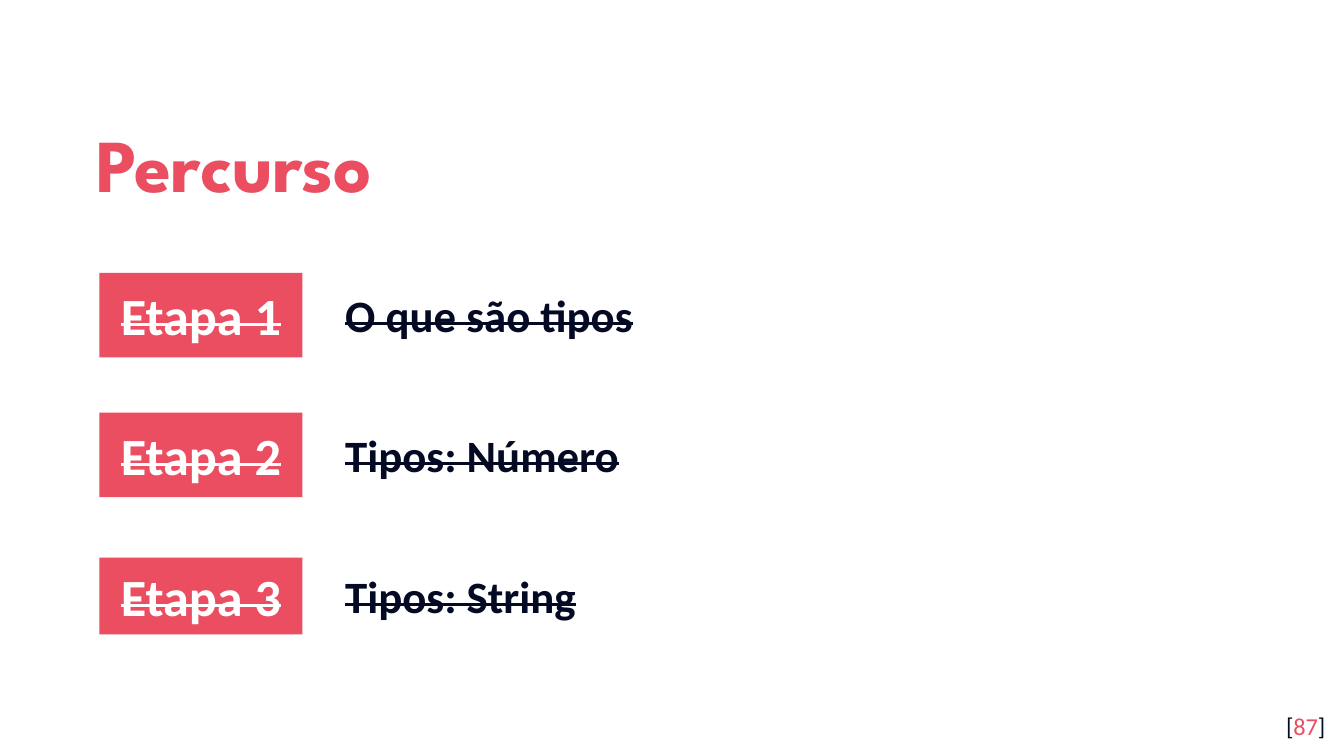
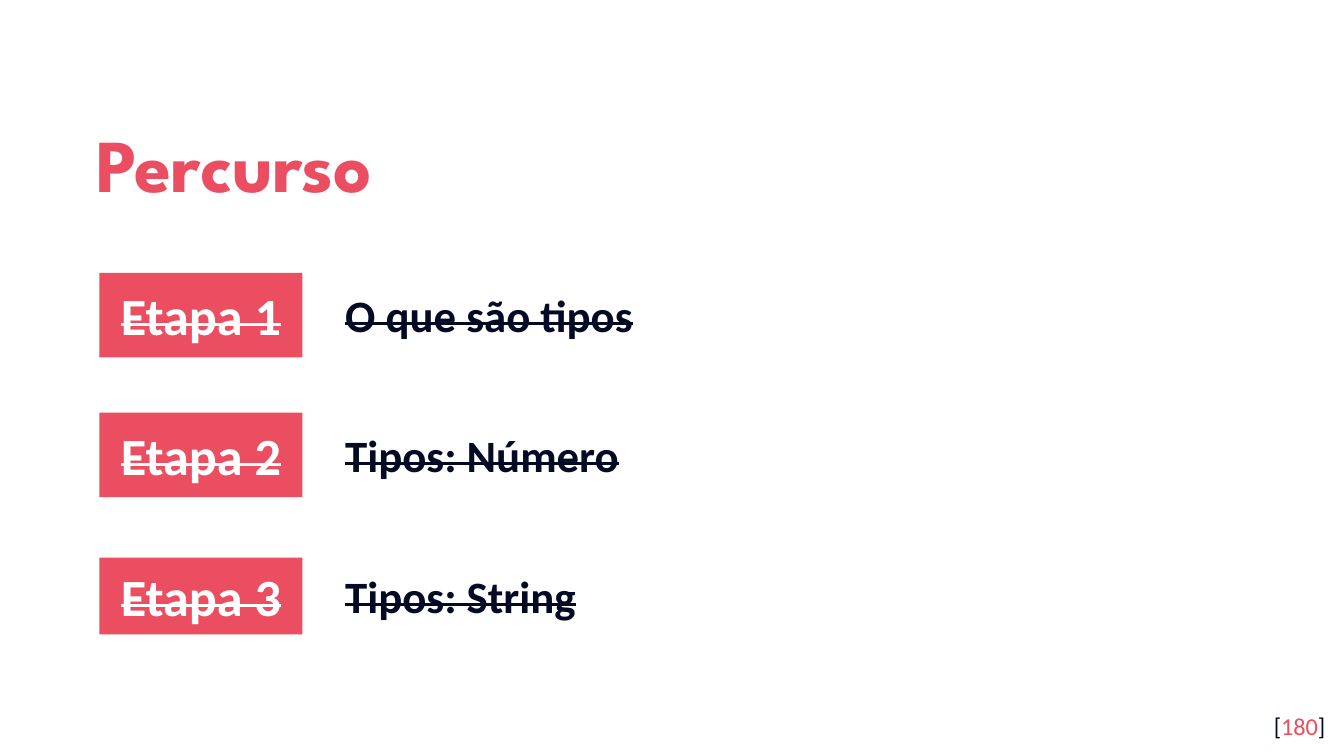
from pptx import Presentation
from pptx.dml.color import RGBColor
from pptx.enum.shapes import MSO_SHAPE
from pptx.enum.text import MSO_ANCHOR, PP_ALIGN
from pptx.util import Inches, Pt

RECTANGLE = MSO_SHAPE.RECTANGLE
TOP, MIDDLE = MSO_ANCHOR.TOP, MSO_ANCHOR.MIDDLE
LEFT, CENTER, RIGHT = PP_ALIGN.LEFT, PP_ALIGN.CENTER, PP_ALIGN.RIGHT

CORAL = RGBColor(0xEA, 0x4E, 0x60)
NAVY = RGBColor(0x04, 0x0A, 0x24)
WHITE = RGBColor(0xFF, 0xFF, 0xFF)
TITLE_FONT, BODY_FONT = "League Spartan", "Calibri"

# Wide page, 16 to 9
PAGE_WIDTH = 10
PAGE_HEIGHT = PAGE_WIDTH * 9 / 16

# Boxes are left, top, width, height in inches
TITLE_BOX = (0.62, 0.7, 8.1, 0.92)
NUMBER_BOX = (9.36, 5.19, 0.6, 0.43)
STAGE_LEFT, STAGE_WIDTH = 0.74, 8.48
TAG_WIDTH, TOPIC_OFFSET, TOPIC_HEIGHT = 1.51, 1.73, 0.5

# Stage topic, top and height of its row
STAGES = [
    ("O que são tipos", 2.03, 0.63),
    ("Tipos: Número", 3.07, 0.63),
    ("Tipos: String", 4.15, 0.57),
]
PAGE_NUMBERS = (87, 180)


def prepare_frame(shape, anchor, align, side=0.1, vertical=0.1):
    """Set the text layout of a shape and return its first paragraph."""
    frame = shape.text_frame
    frame.word_wrap = True
    frame.vertical_anchor = anchor
    frame.margin_left = frame.margin_right = Inches(side)
    frame.margin_top = frame.margin_bottom = Inches(vertical)
    para = frame.paragraphs[0]
    para.alignment = align
    return para


def add_span(para, text, size, color, font=BODY_FONT, bold=False, strike=False):
    span = para.add_run()
    span.text = text
    span.font.name = font
    span.font.size = Pt(size)
    span.font.bold = bold
    span.font.color.rgb = color
    if strike:
        span._r.get_or_add_rPr().set("strike", "sngStrike")


def add_title(page, box, text):
    shape = page.shapes.add_textbox(*map(Inches, box))
    para = prepare_frame(shape, MIDDLE, LEFT)
    para.line_spacing = 1.15
    add_span(para, text, 40, CORAL, TITLE_FONT, bold=True)


def add_stage(page, box, label, topic):
    """Place a completed stage: a tag and its topic, centred on the row."""
    left, top, width, height = box

    # Tag
    tag = page.shapes.add_shape(
        RECTANGLE, *map(Inches, (left, top, TAG_WIDTH, height)))
    tag.shadow.inherit = False
    tag.fill.solid()
    tag.fill.fore_color.rgb = CORAL
    tag.line.fill.background()
    para = prepare_frame(tag, MIDDLE, CENTER)
    add_span(para, label, 28, WHITE, bold=True, strike=True)

    # Topic with a hanging indent
    topic_top = top + (height - TOPIC_HEIGHT) / 2
    topic_box = (left + TOPIC_OFFSET, topic_top, width - TOPIC_OFFSET, TOPIC_HEIGHT)
    shape = page.shapes.add_textbox(*map(Inches, topic_box))
    para = prepare_frame(shape, TOP, LEFT, vertical=0.05)
    properties = para._p.get_or_add_pPr()
    properties.set("marL", str(Inches(0.5)))
    properties.set("indent", str(Inches(-0.5)))
    add_span(para, topic, 24, NAVY, bold=True, strike=True)


def add_page_number(page, box, number):
    shape = page.shapes.add_textbox(*map(Inches, box))
    para = prepare_frame(shape, TOP, RIGHT)
    for text, color in (("[", NAVY), (str(number), CORAL), ("]", NAVY)):
        add_span(para, text, 13, color)


def add_route_page(deck, number):
    page = deck.slides.add_slide(deck.slide_layouts[6])
    page.background.fill.solid()
    page.background.fill.fore_color.rgb = WHITE
    add_title(page, TITLE_BOX, "Percurso")
    for order, (topic, top, height) in enumerate(STAGES, start=1):
        add_stage(page, (STAGE_LEFT, top, STAGE_WIDTH, height), f"Etapa {order}", topic)
    add_page_number(page, NUMBER_BOX, number)


def main():
    deck = Presentation()
    deck.slide_width, deck.slide_height = Inches(PAGE_WIDTH), Inches(PAGE_HEIGHT)
    for number in PAGE_NUMBERS:
        add_route_page(deck, number)
    deck.save("out.pptx")


if __name__ == "__main__":
    main()
